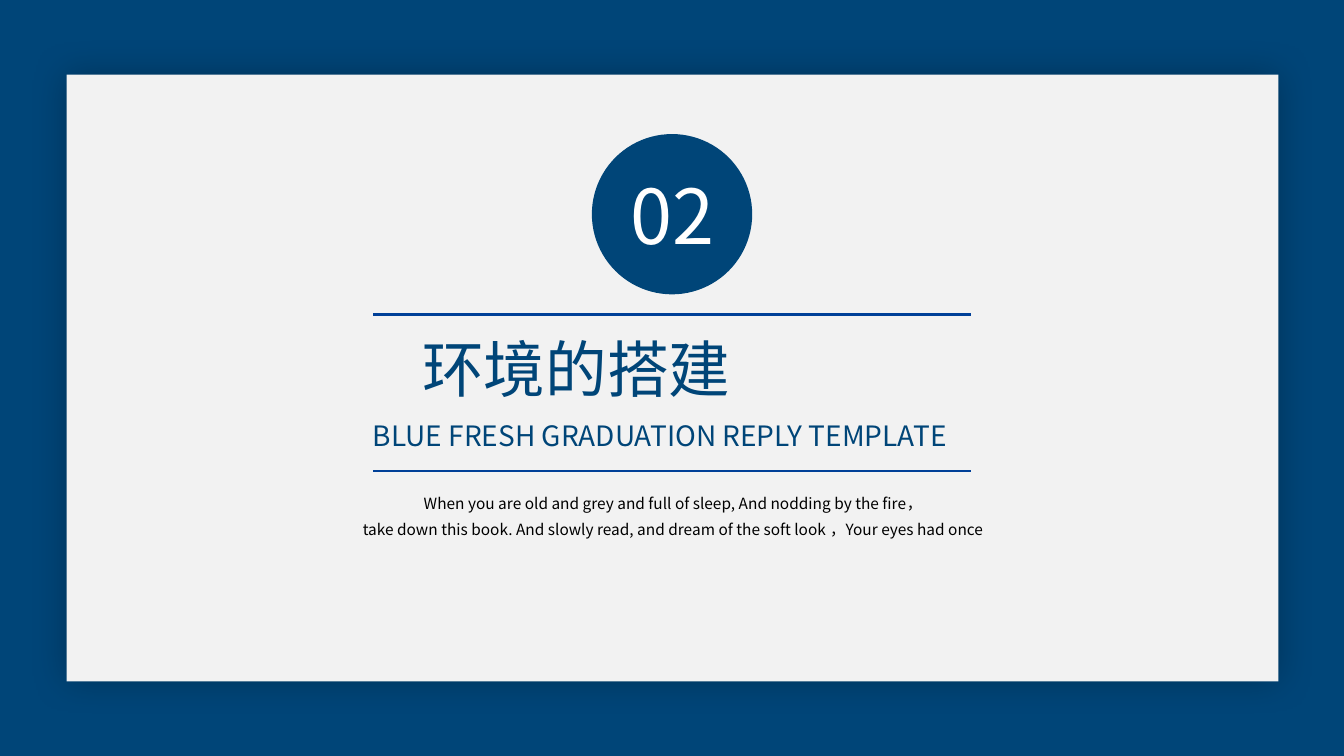
import dataclasses

import pptx
import pptx.dml.color
import pptx.enum.shapes
import pptx.enum.text
import pptx.oxml
import pptx.oxml.ns
import pptx.util

Inches = pptx.util.Inches
Align = pptx.enum.text.PP_ALIGN
ShapeType = pptx.enum.shapes.MSO_SHAPE


@dataclasses.dataclass(frozen=True)
class Theme:
    font: str = "Noto Sans CJK SC"
    blue: str = "004578"
    rule: str = "004098"
    panel: str = "F2F2F2"
    white: str = "FFFFFF"
    black: str = "000000"
    number_size: int = 54
    title_size: int = 44
    subtitle_size: int = 20
    body_size: int = 11
    rule_width: float = 1.5


THEME = Theme()


def rgb(color):
    return pptx.dml.color.RGBColor.from_string(color)


def format_paragraph(paragraph, size, color, alignment, line_spacing=None):
    paragraph.alignment = alignment
    if line_spacing:
        paragraph.line_spacing = line_spacing
    for run in paragraph.runs:
        run.font.size = pptx.util.Pt(size)
        run.font.name = THEME.font
        run.font.color.rgb = rgb(color)
        east_asian = pptx.oxml.ns.qn("a:ea")
        run.font._element.find(pptx.oxml.ns.qn("a:latin")).addnext(
            run.font._element.makeelement(east_asian, {"typeface": THEME.font})
        )


def add_filled_shape(slide, kind, left, top, width, height, color):
    shape = slide.shapes.add_shape(
        kind, Inches(left), Inches(top), Inches(width), Inches(height)
    )
    shape.shadow.inherit = False
    shape.fill.solid()
    shape.fill.fore_color.rgb = rgb(color)
    shape.line.fill.background()
    return shape


def add_soft_shadow(shape):
    effects = shape._element.spPr.find(pptx.oxml.ns.qn("a:effectLst"))
    effects.append(pptx.oxml.parse_xml(
        f'<a:outerShdw {pptx.oxml.ns.nsdecls("a")} blurRad="{pptx.util.Pt(26)}" '
        'dist="0" dir="2700000" algn="ctr" rotWithShape="0">'
        f'<a:srgbClr val="{THEME.black}"><a:alpha val="26000"/></a:srgbClr>'
        '</a:outerShdw>'
    ))


def add_rule(slide, left, right, top):
    connector = slide.shapes.add_connector(
        pptx.enum.shapes.MSO_CONNECTOR.STRAIGHT,
        Inches(left), Inches(top), Inches(right), Inches(top),
    )
    connector.line.color.rgb = rgb(THEME.rule)
    connector.line.width = pptx.util.Pt(THEME.rule_width)
    connector._element.spPr.append(
        pptx.oxml.parse_xml(f'<a:effectLst {pptx.oxml.ns.nsdecls("a")}/>')
    )


def add_text(slide, left, top, width, height, text, size, color, alignment,
             line_spacings=(None,)):
    text_box = slide.shapes.add_textbox(
        Inches(left), Inches(top), Inches(width), Inches(height)
    )
    text_frame = text_box.text_frame
    text_frame.word_wrap = True
    text_frame.auto_size = pptx.enum.text.MSO_AUTO_SIZE.SHAPE_TO_FIT_TEXT
    text_frame.text = text
    for paragraph, line_spacing in zip(text_frame.paragraphs, line_spacings):
        format_paragraph(paragraph, size, color, alignment, line_spacing)


def add_number_badge(slide, left, top, diameter, number):
    badge = add_filled_shape(
        slide, ShapeType.OVAL, left, top, diameter, diameter, THEME.blue
    )
    text_frame = badge.text_frame
    text_frame.vertical_anchor = pptx.enum.text.MSO_ANCHOR.MIDDLE
    text_frame.text = number
    format_paragraph(
        text_frame.paragraphs[0], THEME.number_size, THEME.white, Align.CENTER
    )


def main():
    presentation = pptx.Presentation()
    presentation.slide_width = Inches(13.33)
    presentation.slide_height = Inches(7.5)
    slide = presentation.slides.add_slide(presentation.slide_layouts[6])
    slide.background.fill.solid()
    slide.background.fill.fore_color.rgb = rgb(THEME.blue)

    panel = add_filled_shape(
        slide, ShapeType.RECTANGLE, 0.66, 0.74, 12.02, 6.02, THEME.panel
    )
    add_soft_shadow(panel)
    for top in (3.12, 4.67):
        add_rule(slide, 3.7, 9.63, top)
    add_text(slide, 4.09, 3.23, 5.15, 0.84, "环境的搭建",
             THEME.title_size, THEME.blue, Align.JUSTIFY)
    add_text(slide, 3.6, 4.1, 6.13, 0.44, "BLUE FRESH GRADUATION REPLY TEMPLATE",
             THEME.subtitle_size, THEME.blue, Align.JUSTIFY)
    add_text(slide, 2.85, 4.8, 7.65, 0.57,
             "When you are old and grey and full of sleep, And nodding by the fire，\n"
             "take down this book. And slowly read, and dream of the soft look ，"
             "Your eyes had once",
             THEME.body_size, THEME.black, Align.CENTER, (1.3, 1.4))
    add_number_badge(slide, 5.87, 1.33, 1.59, "02")

    presentation.save("out.pptx")


if __name__ == "__main__":
    main()
